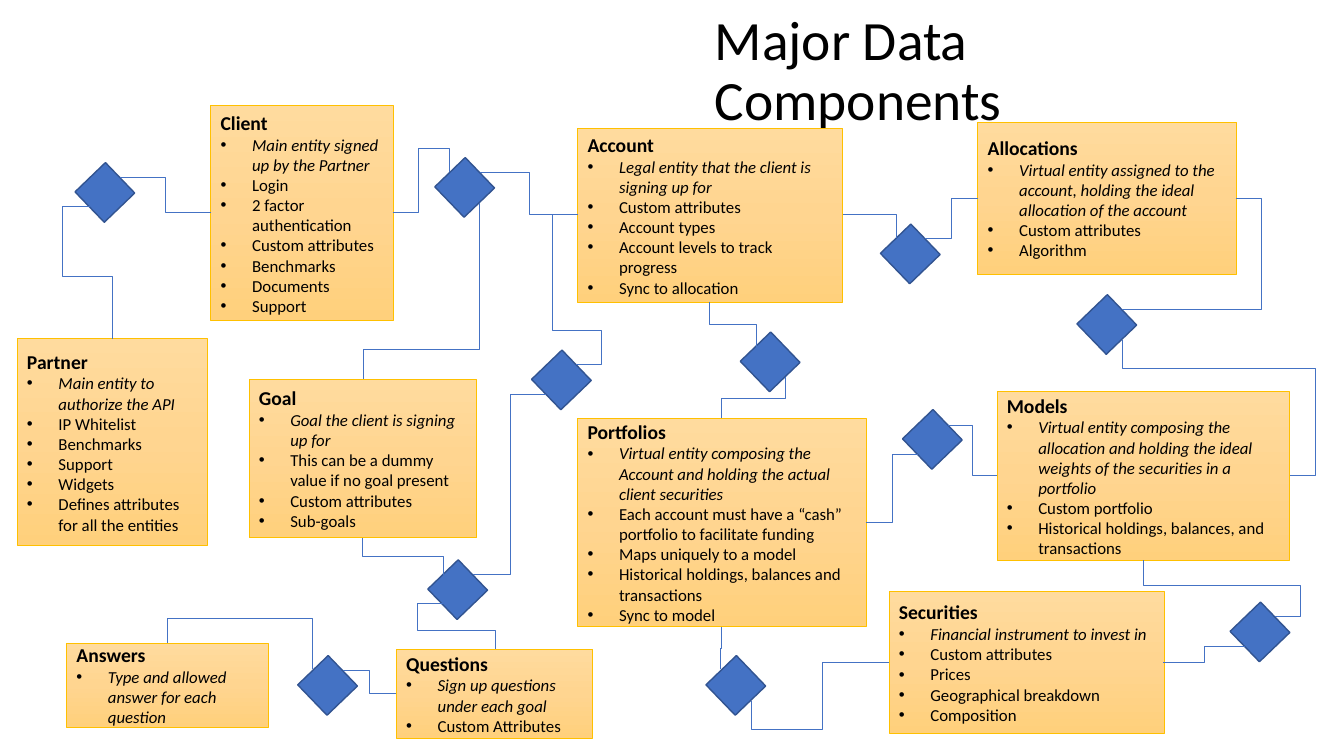
import copy

import pptx
import pptx.dml.color
import pptx.enum.shapes
import pptx.enum.text
import pptx.oxml
import pptx.oxml.ns
import pptx.util

Pt = pptx.util.Pt
RGBColor = pptx.dml.color.RGBColor
MSO_SHAPE = pptx.enum.shapes.MSO_SHAPE
PP_ALIGN = pptx.enum.text.PP_ALIGN
MSO_ANCHOR = pptx.enum.text.MSO_ANCHOR
qn = pptx.oxml.ns.qn

BLACK = RGBColor(0x00, 0x00, 0x00)
BLUE = RGBColor(0x44, 0x72, 0xC4)
DARK_BLUE = RGBColor(0x32, 0x54, 0x91)
GOLD = RGBColor(0xFF, 0xC0, 0x00)
ENTITY_GRADIENT = [RGBColor(0xFF, 0xDB, 0x9E), RGBColor(0xFF, 0xD5, 0x90),
                   RGBColor(0xFF, 0xD0, 0x7C)]

# Name, left, top, width, height, attributes (the first one describes the entity)
ENTITIES = [
    ("Partner", 12.2, 241.9, 136.1, 147.6,
     ["Main entity to authorize the API", "IP Whitelist", "Benchmarks", "Support",
      "Widgets", "Defines attributes for all the entities"]),
    ("Client", 150.5, 75.6, 130.3, 153.4,
     ["Main entity signed up by the Partner", "Login", "2 factor authentication",
      "Custom attributes", "Benchmarks", "Documents", "Support"]),
    ("Account", 412.6, 91.4, 189.4, 124.6,
     ["Legal entity that the client is signing up for", "Custom attributes",
      "Account types", "Account levels to track progress", "Sync to allocation"]),
    ("Goal", 177.8, 270.7, 162.7, 113.4,
     ["Goal the client is signing up for",
      "This can be a dummy value if no goal present", "Custom attributes", "Sub-goals"]),
    ("Questions", 283, 463.7, 140.4, 63.4,
     ["Sign up questions under each goal", "Custom Attributes"]),
    ("Answers", 47.5, 459.4, 144, 59.8, ["Type and allowed answer for each question"]),
    ("Portfolios", 412.6, 298.8, 205.9, 148.3,
     ["Virtual entity composing the Account and holding the actual client securities",
      "Each account must have a “cash” portfolio to facilitate funding",
      "Maps uniquely to a model", "Historical holdings, balances and transactions",
      "Sync to model"]),
    ("Securities", 635, 422.6, 196.6, 101.2,
     ["Financial instrument to invest in", "Custom attributes", "Prices",
      "Geographical breakdown", "Composition"]),
    ("Allocations", 698.4, 87.1, 185, 108.7,
     ["Virtual entity assigned to the account, holding the ideal allocation of the account",
      "Custom attributes", "Algorithm"]),
    ("Models", 712.1, 279.4, 208.8, 121,
     ["Virtual entity composing the allocation and holding the ideal weights of the "
      "securities in a portfolio", "Custom portfolio",
      "Historical holdings, balances, and transactions"]),
]

# Centres of the relationship diamonds
RELATIONSHIPS = [
    (74.9, 137.5), (326.9, 421.2), (234, 489.6), (550.1, 258.5), (525.6, 489.6),
    (666, 313.9), (790.6, 231.8), (900, 451.4), (650.2, 181.4), (331.9, 133.9),
    (401, 271.4),
]

# Start, end, and where the line turns: x, y, x ... for lines that leave sideways
SIDEWAYS_LINKS = [
    ((801.4, 221), (882.7, 141.8), [900.7]),
    ((921.6, 339.8), (801.4, 242.6), [939.6, 262.8]),
    ((830.9, 473), (889.2, 461.5), [860.4]),
    ((910.8, 440.6), (816.5, 400.3), [928.8, 418.3]),
    ((635, 473), (536.4, 500.4), [587.5, 521.3]),
    ((656, 324.7), (618.5, 373), [637.2]),
    ((712.1, 339.8), (677.5, 303.8), [694.8]),
    ((661, 170.6), (698.4, 141.8), [679.7]),
    ((85.7, 126.7), (150.5, 151.9), [118.1]),
    ((244.8, 478.8), (283, 495.4), [263.5]),
    ((316.1, 431.3), (353.5, 463.7), [298.1, 450]),
    ((280.8, 151.9), (321.1, 123.1), [298.8, 105.8]),
    ((342.7, 123.1), (412.6, 153.4), [378]),
    ((337.7, 410.4), (390.2, 281.5), [364.3]),
    ((411.8, 260.6), (412.6, 153.4), [429.8, 236.2, 394.6]),
]

# The same with turns y, x ... for lines that leave up or down
UPRIGHT_LINKS = [
    ((514.8, 478.1), (515.5, 447.8), [463]),
    ((540, 247.7), (506.9, 216), [231.8]),
    ((640, 170), (602, 153.4), []),
    ((515.5, 298.8), (560.9, 269.3), [284.4]),
    ((80.6, 241.9), (64.1, 147.6), [197.3, 44.6]),
    ((119.5, 459.4), (223.2, 478.1), [441.4]),
    ((259.2, 384.5), (316.8, 410.4), [397.4]),
    ((342.7, 144.7), (259.2, 270.7), [249.8]),
]


def write(paragraph, text, size=12, bold=False, italic=False, bullet=False, spacing=None):
    paragraph.alignment = PP_ALIGN.LEFT
    paragraph.line_spacing = spacing
    run = paragraph.add_run()
    run.text = text
    font = run.font
    font.name, font.size, font.bold, font.italic = "Calibri", Pt(size), bold, italic
    font.color.rgb = BLACK
    if bullet:
        properties = paragraph._p.get_or_add_pPr()
        properties.set("marL", str(Pt(22.5)))
        properties.set("indent", str(Pt(-22.5)))
        for tag, name, value in [("a:buFont", "typeface", "Arial"), ("a:buChar", "char", "•")]:
            mark = pptx.oxml.parse_xml(f"<{tag} {pptx.oxml.ns.nsdecls('a')}/>")
            mark.set(name, value)
            properties.append(mark)


class EntityDiagram:
    diamond_side = 30.2
    diamond_turn = 46.1
    thin = 0.5

    def __init__(self, slide):
        self.shapes = slide.shapes

    def title(self, text, left, top, width, height):
        box = self.shapes.add_textbox(Pt(left), Pt(top), Pt(width), Pt(height))
        box.text_frame.word_wrap = True
        box.text_frame.vertical_anchor = MSO_ANCHOR.MIDDLE
        write(box.text_frame.paragraphs[0], text, size=39.6, spacing=0.9)

    def entity(self, name, left, top, width, height, attributes):
        box = self.shapes.add_shape(MSO_SHAPE.FLOWCHART_PROCESS,
                                    Pt(left), Pt(top), Pt(width), Pt(height))
        box.shadow.inherit = False
        box.line.color.rgb = GOLD
        box.line.width = Pt(self.thin)
        box.fill.gradient()
        box.fill.gradient_angle = 270
        stops = box._element.spPr.find(qn("a:gradFill")).find(qn("a:gsLst"))
        stops.append(copy.deepcopy(stops[0]))
        for index, (stop, color) in enumerate(zip(box.fill.gradient_stops, ENTITY_GRADIENT)):
            stop.position = index / 2
            stop.color.rgb = color
        frame = box.text_frame
        frame.word_wrap = True
        frame.vertical_anchor = MSO_ANCHOR.MIDDLE
        write(frame.paragraphs[0], name, size=14, bold=True)
        for index, attribute in enumerate(attributes):
            write(frame.add_paragraph(), attribute, italic=index == 0, bullet=True)

    def relationship(self, x, y):
        side = self.diamond_side
        diamond = self.shapes.add_shape(MSO_SHAPE.RECTANGLE, Pt(x - side / 2),
                                        Pt(y - side / 2), Pt(side), Pt(side))
        diamond.rotation = self.diamond_turn
        diamond.shadow.inherit = False
        diamond.fill.solid()
        diamond.fill.fore_color.rgb = BLUE
        diamond.line.color.rgb = DARK_BLUE
        diamond.line.width = Pt(1)

    def link(self, start, end, turns, upright=False):
        (x1, y1), (x2, y2) = start, end
        if upright:  # laid sideways about its centre, then turned by 90 degrees
            x, y, dx, dy = (x1 + x2) / 2, (y1 + y2) / 2, (x2 - x1) / 2, (y2 - y1) / 2
            x1, y1, x2, y2 = x - dy, y + dx, x + dy, y - dx
        line = self.shapes.add_connector(pptx.enum.shapes.MSO_CONNECTOR.ELBOW,
                                         Pt(x1), Pt(y1), Pt(x2), Pt(y2))
        line.line.color.rgb = BLUE
        line.line.width = Pt(self.thin)
        properties = line._element.spPr
        pptx.oxml.ns.nsdecls("a")
        properties.append(pptx.oxml.parse_xml(f"<a:effectLst {pptx.oxml.ns.nsdecls('a')}/>"))
        if upright:
            properties.find(qn("a:xfrm")).set("rot", "5400000")
        geometry = properties.find(qn("a:prstGeom"))
        geometry.set("prst", f"bentConnector{len(turns) + 2}")
        guides = geometry.find(qn("a:avLst"))
        for index, turn in enumerate(turns):
            axis = (index + upright) % 2
            share = (turn - start[axis]) / (end[axis] - start[axis])
            guide = pptx.oxml.parse_xml(f"<a:gd {pptx.oxml.ns.nsdecls('a')}/>")
            guide.set("name", f"adj{index + 1}" if len(turns) > 1 else "adj1")
            guide.set("fmla", f"val {round(share * 100000)}")
            guides.append(guide)


def main():
    deck = pptx.Presentation()
    deck.slide_width, deck.slide_height = Pt(960), Pt(540)
    diagram = EntityDiagram(deck.slides.add_slide(deck.slide_layouts[6]))
    diagram.title("Major Data Components", 503.5, 35.3, 400, 33.1)
    for entity in ENTITIES:
        diagram.entity(*entity)
    for centre in RELATIONSHIPS:
        diagram.relationship(*centre)
    for route in SIDEWAYS_LINKS:
        diagram.link(*route)
    for route in UPRIGHT_LINKS:
        diagram.link(*route, upright=True)
    deck.save("out.pptx")


if __name__ == "__main__":
    main()
